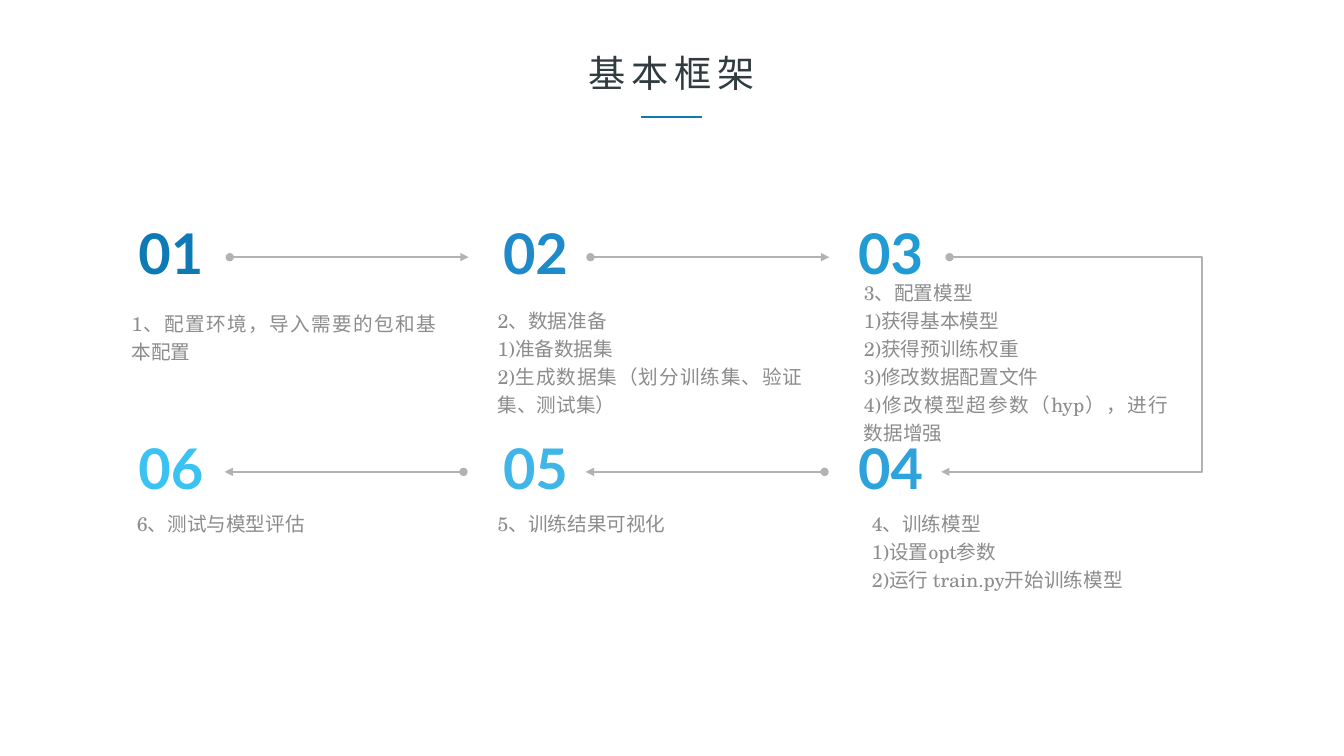
from lxml import etree
from pptx import Presentation
from pptx.dml.color import RGBColor
from pptx.enum.shapes import MSO_CONNECTOR
from pptx.enum.text import MSO_AUTO_SIZE, PP_ALIGN
from pptx.oxml.ns import qn
from pptx.util import Cm, Pt

LINE, ELBOW = MSO_CONNECTOR.STRAIGHT, MSO_CONNECTOR.ELBOW
GROW = MSO_AUTO_SIZE.SHAPE_TO_FIT_TEXT
MID, JUST = PP_ALIGN.CENTER, PP_ALIGN.JUSTIFY

GREY, BLUE = "B2B2B2", "0D7AB5"
COLS = (3.48, 12.67, 21.62)
ROWS = (5.51, 10.92)
WIDE, TALL = 1.65, 1.7
RUN = 6.02

NUM = {"name": "Lato", "size": Pt(40), "bold": True}
NOTE = {"name": "TeX Gyre Schola", "size": Pt(14)}
HEAD = {"name": "Roboto", "size": Pt(26.6)}
BARE = {f"margin_{side}": 0 for side in ("left", "top", "right", "bottom")}

# number, colour, column, row, note offset and height, note lines
STEPS = (
    ("01", BLUE, 0, 0, (-0.41, 2.11, 1.68),
     ("1、配置环境，导入需要的包和基本配置",)),
    ("02", "1E8ACA", 1, 0, (-0.38, 2.03, 3.1),
     ("2、数据准备", "1)准备数据集", "2)生成数据集（划分训练集、验证集、测试集）")),
    ("03", "209BD3", 2, 0, (-0.1, 1.32, 4.52),
     ("3、配置模型", "1)获得基本模型", "2)获得预训练权重",
      "3)修改数据配置文件", "4)修改模型超参数（hyp），进行数据增强")),
    ("04", "2EA2DB", 2, 1, (0.1, 1.73, 2.39),
     ("4、训练模型", "1)设置opt参数", "2)运行 train.py开始训练模型")),
    ("05", "3FB5E8", 1, 1, (-0.38, 1.73, 1.68), ("5、训练结果可视化",)),
    ("06", "39C2F2", 0, 1, (-0.28, 1.73, 0.97), ("6、测试与模型评估",)),
)


def tint(code):
    """Turn a hex string into a colour."""
    return RGBColor.from_string(code)


def apply(item, form):
    """Set every value of a format on an item."""
    for key, value in form.items():
        setattr(item, key, value)


def write(slide, box, lines, font, code, para, frame):
    """Place a text box with one paragraph per line."""
    text = slide.shapes.add_textbox(*map(Cm, box)).text_frame
    apply(text, {"auto_size": GROW, **frame})
    for i, line in enumerate(lines):
        part = text.add_paragraph() if i else text.paragraphs[0]
        apply(part, para)
        run = part.add_run()
        run.text = line
        apply(run.font, font)
        run.font.color.rgb = tint(code)
    return text


def link(slide, start, end, code=GREY, width=1.5, head=None, tail=None, kind=LINE):
    """Draw a line between two points with optional ends."""
    wire = slide.shapes.add_connector(kind, *map(Cm, (*start, *end)))
    wire.line.color.rgb = tint(code)
    wire.line.width = Pt(width)
    stroke = wire.line._get_or_add_ln()
    for tag, shape in (("a:headEnd", head), ("a:tailEnd", tail)):
        if shape:
            etree.SubElement(stroke, qn(tag), type=shape)
    etree.SubElement(wire._element.spPr, qn("a:effectLst"))
    return wire


def title(slide, x, y, w, h):
    """Place the heading and the short rule below it."""
    text = write(slide, (x, y, w, h), ("基本框架",), HEAD, "313C41",
                 {"alignment": MID, "line_spacing": 0.8}, {"word_wrap": False})
    text.paragraphs[0].runs[0].font._element.set("spc", "400")
    mid, low = x + w / 2, y + 1.58
    link(slide, (mid - 0.76, low), (mid + 0.76, low), BLUE, 2)


def step(slide, x, y, num, code, note, lines):
    """Place one number and its note."""
    write(slide, (x, y, WIDE, TALL), (num,), NUM, code,
          {"alignment": MID}, {"word_wrap": False, **BARE})
    dx, dy, tall = note
    write(slide, (x + dx, y + dy, 8.18, tall), lines, NOTE, "8C8C8C",
          {"alignment": JUST, "line_spacing": Pt(20)}, {"word_wrap": True})


def flow(slide, top, low):
    """Draw the arrows to the right, the turn and the arrows back."""
    ends = {"head": "oval", "tail": "triangle"}
    for x in (5.79, 14.88):
        link(slide, (x, top), (x + RUN, top), **ends)
    for x in (14.76, 5.66):
        link(slide, (x + RUN, low), (x, low), **ends)
    turn = (29.92, top)
    link(slide, (23.93, top), turn, head="oval")
    bend = link(slide, turn, (23.72, low), tail="triangle", kind=ELBOW)
    guide = bend._element.spPr.find(qn("a:prstGeom")).find(qn("a:avLst"))
    etree.SubElement(guide, qn("a:gd"), name="adj1", fmla="val -6100")


def main():
    """Build the slide and save it."""
    deck = Presentation()
    deck.slide_width, deck.slide_height = Cm(33.87), Cm(19.05)
    slide = deck.slides.add_slide(deck.slide_layouts[6])
    flow(slide, *(y + 0.97 for y in ROWS))
    for num, code, col, row, note, lines in STEPS:
        step(slide, COLS[col], ROWS[row], num, code, note, lines)
    title(slide, 14.5, 1.37, 4.85, 1.17)
    deck.save("out.pptx")


if __name__ == "__main__":
    main()
